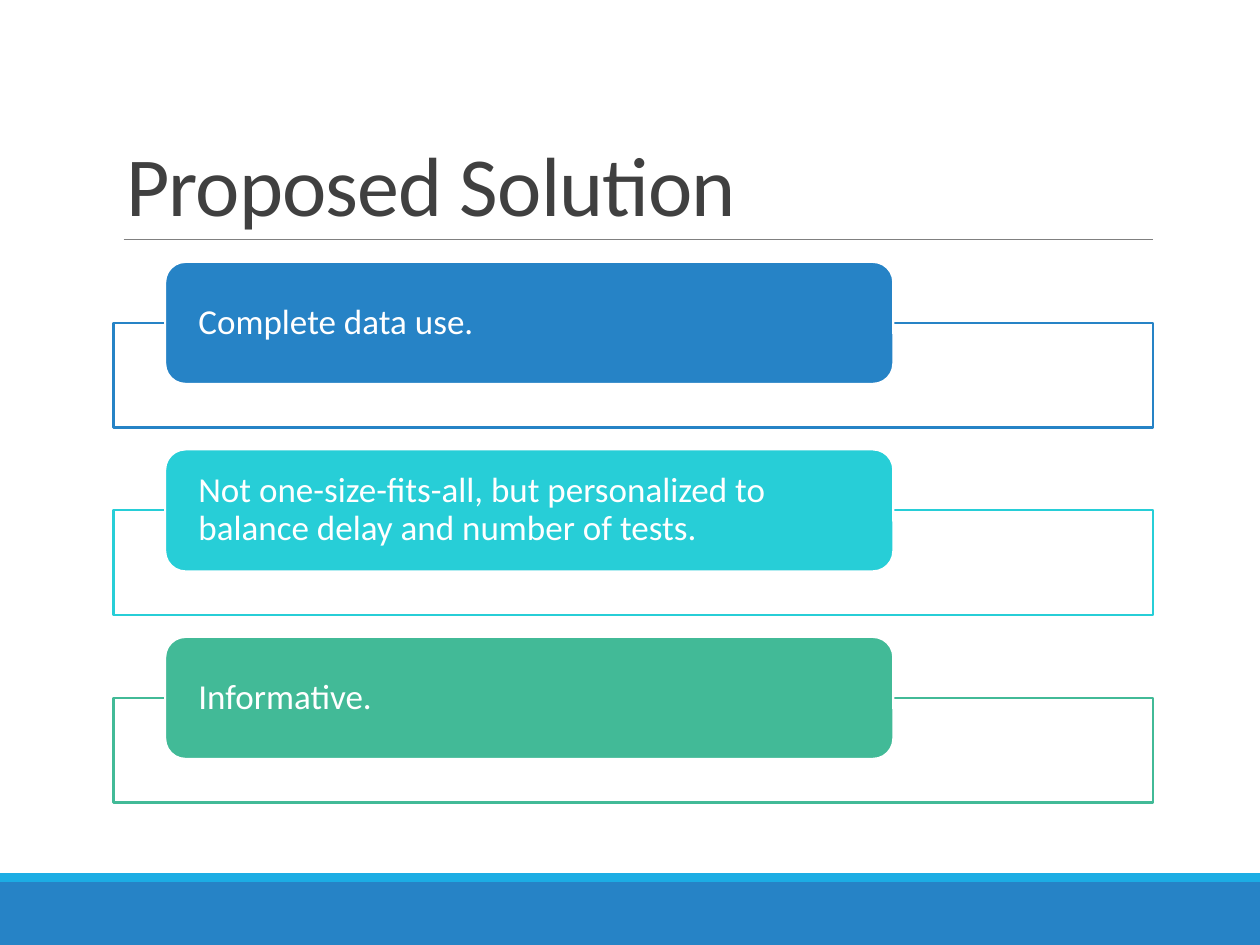
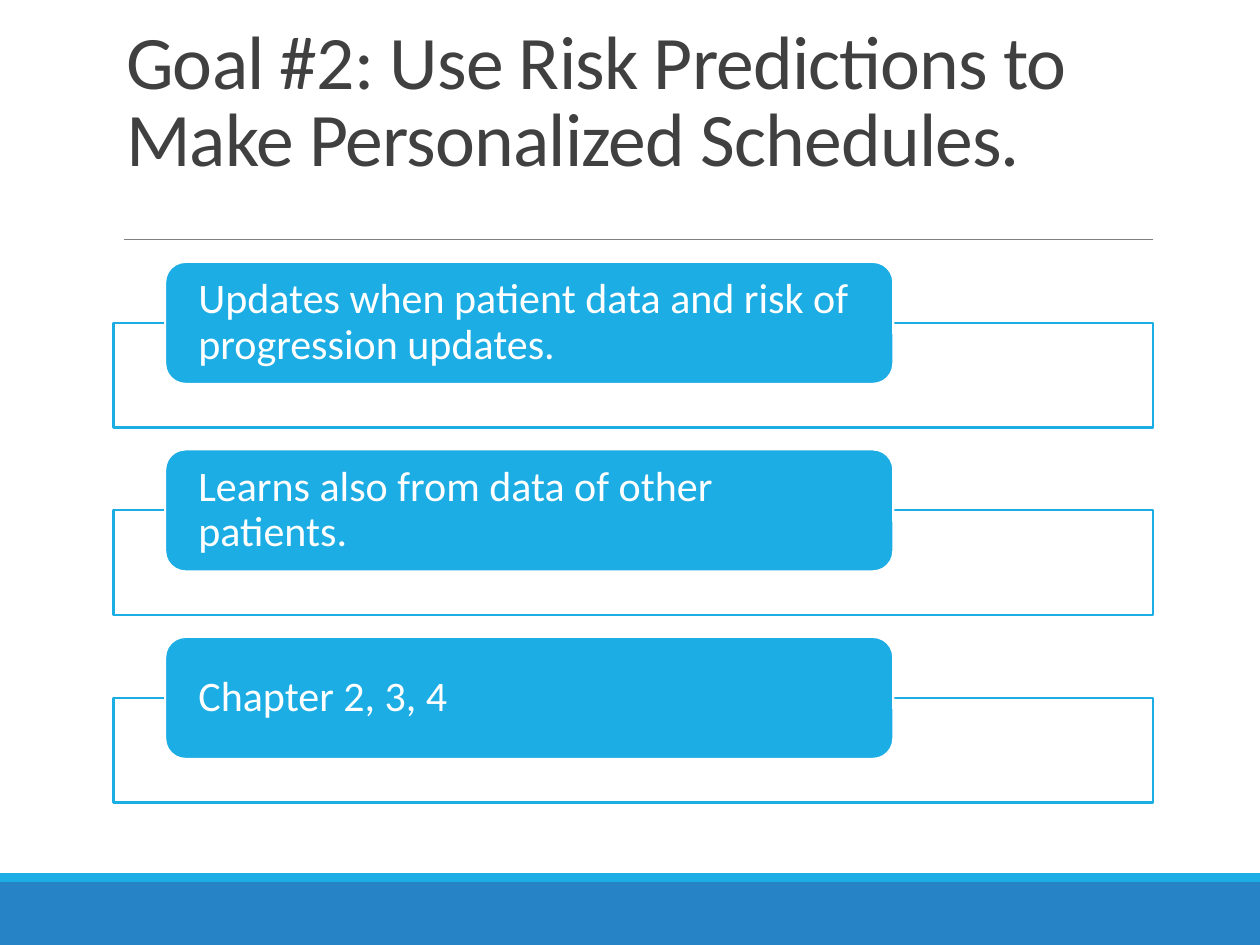
import pptx
import pptx.dml.color
import pptx.enum.shapes
import pptx.enum.text
import pptx.oxml
import pptx.oxml.ns
import pptx.util

Cm, Pt = pptx.util.Cm, pptx.util.Pt
Kind = pptx.enum.shapes.MSO_SHAPE
Anchor = pptx.enum.text.MSO_ANCHOR
qn = pptx.oxml.ns.qn

# Content: title with its size, top and height; text size; rows
SLIDES = [
    {"title": "Proposed Solution", "size": 48, "top": 0.79, "high": 4.04,
     "text": 20,
     "rows": [
         ("Complete data use.", "blue"),
         ("Not one-size-fits-all, but personalized to balance delay "
          "and number of tests.", "aqua"),
         ("Informative.", "green")]},
    {"title": "Goal #2: Use Risk Predictions to Make Personalized Schedules.",
     "size": 43.2, "top": 0.25, "high": 3.54, "text": 24,
     "rows": [
         ("Updates when patient data and risk of progression updates.", "sky"),
         ("Learns also from data of other patients.", "sky"),
         ("Chapter 2, 3, 4", "sky")]},
]

# Shared style
COLORS = {"blue": "2683C6", "sky": "1CADE4", "aqua": "27CED7",
          "green": "42BA97", "white": "FFFFFF", "rule": "808080",
          "ink": "404040"}
FONT = "Calibri"
WIDE, TALL = 25.4, 19.05
LEFT, SPAN = 2.29, 20.96
RULE_X, RULE_Y = 2.49, 4.83
# Bands: top, height, colour
BANDS = [(17.78, 1.27, "blue"), (17.6, 0.18, "sky")]
# Rows: first label top, step, label box, frame offset and height
FIRST, STEP = 5.28, 3.78
LABEL_X, LABEL_W, LABEL_H = 3.33, 14.68, 2.46
DROP, FRAME_H = 1.23, 2.11


def color(name):
    return pptx.dml.color.RGBColor.from_string(COLORS[name])


def box(slide, kind, x, y, w, h, fill, line=None):
    shape = slide.shapes.add_shape(kind, Cm(x), Cm(y), Cm(w), Cm(h))
    shape.shadow.inherit = False
    shape.fill.solid()
    shape.fill.fore_color.rgb = color(fill)
    if line:
        shape.line.color.rgb = color(line)
        shape.line.width = Pt(1.25)
    else:
        shape.line.fill.background()
    return shape


def write(shape, text, size, ink, anchor, pitch):
    frame = shape.text_frame
    frame.text = text
    frame.word_wrap = True
    frame.auto_size = pptx.enum.text.MSO_AUTO_SIZE.NONE
    frame.vertical_anchor = anchor
    para = frame.paragraphs[0]
    para.alignment = pptx.enum.text.PP_ALIGN.LEFT
    para.line_spacing = pitch
    font = para.runs[0].font
    font.name, font.size = FONT, Pt(size)
    font.color.rgb = color(ink)


def add_base(slide, data):
    # Footer bands
    for top, high, fill in BANDS:
        box(slide, Kind.RECTANGLE, 0, top, WIDE, high, fill)
    # Rule below the title
    rule = slide.shapes.add_connector(
        pptx.enum.shapes.MSO_CONNECTOR.STRAIGHT,
        Cm(RULE_X), Cm(RULE_Y), Cm(LEFT + SPAN), Cm(RULE_Y))
    rule.line.color.rgb = color("rule")
    rule.line.width = Pt(0.5)
    props = rule.element.find(qn("p:spPr"))
    props.append(pptx.oxml.parse_xml(
        '<a:effectLst xmlns:a='
        '"http://schemas.openxmlformats.org/drawingml/2006/main"/>'))
    # Title with tightened letters
    title = slide.shapes.title
    title.left, title.top = Cm(LEFT), Cm(data["top"])
    title.width, title.height = Cm(SPAN), Cm(data["high"])
    write(title, data["title"], data["size"], "ink", Anchor.BOTTOM, 0.85)
    for run in title.element.iter(qn("a:rPr")):
        run.set("spc", "-50")


def add_row(slide, top, text, size, hue):
    # Open frame, nearly opaque
    frame = box(slide, Kind.RECTANGLE, LEFT, top + DROP, SPAN, FRAME_H,
                "white", hue)
    tint = next(frame.element.iter(qn("a:srgbClr")))
    tint.makeelement(qn("a:alpha"), {})
    alpha = tint.makeelement(qn("a:alpha"), {"val": "90000"})
    tint.append(alpha)
    # Filled label over the frame
    label = box(slide, Kind.ROUNDED_RECTANGLE, LABEL_X, top, LABEL_W, LABEL_H,
                hue, "white")
    write(label, text, size, "white", Anchor.MIDDLE, 0.9)
    area = label.text_frame
    area.margin_left = area.margin_right = Cm(0.55)
    area.margin_top = area.margin_bottom = 0


def main():
    deck = pptx.Presentation()
    deck.slide_width, deck.slide_height = Cm(WIDE), Cm(TALL)
    for data in SLIDES:
        slide = deck.slides.add_slide(deck.slide_layouts[5])
        add_base(slide, data)
        for i, (text, hue) in enumerate(data["rows"]):
            add_row(slide, FIRST + i * STEP, text, data["text"], hue)
    deck.save("out.pptx")


if __name__ == "__main__":
    main()
